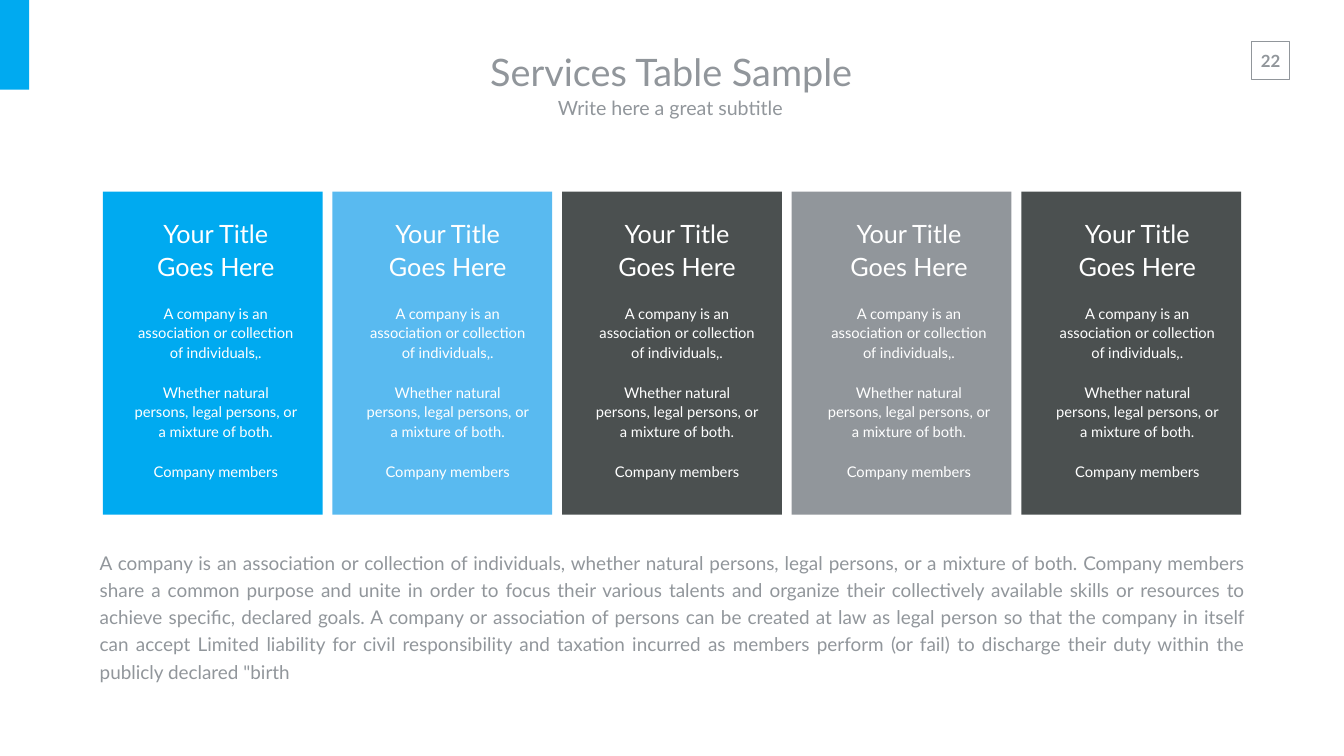
from pptx import Presentation
from pptx.dml.color import RGBColor
from pptx.enum.shapes import MSO_SHAPE
from pptx.enum.text import MSO_ANCHOR, MSO_AUTO_SIZE, PP_ALIGN
from pptx.util import Pt

PX = 9144  # 100 px to the inch
FONT = "Lato"
BLUE = RGBColor(0x00, 0xAA, 0xF0)
LIGHT_BLUE = RGBColor(0x59, 0xBA, 0xF0)
DARK = RGBColor(0x4B, 0x50, 0x50)
GRAY = RGBColor(0x91, 0x96, 0x9B)
WHITE = RGBColor(0xFF, 0xFF, 0xFF)
RECT = MSO_SHAPE.RECTANGLE
CENTER, JUSTIFY = PP_ALIGN.CENTER, PP_ALIGN.JUSTIFY
TOP, MIDDLE = MSO_ANCHOR.TOP, MSO_ANCHOR.MIDDLE
GROW = MSO_AUTO_SIZE.SHAPE_TO_FIT_TEXT

PAGE_NUMBER = "22"
TITLE = "Services Table Sample"
SUBTITLE = "Write here a great subtitle "
CARD_TEXT = [
    ("Your Title Goes Here", 36),
    ("A company is an association or collection of individuals,.", 21),
    ("Whether natural persons, legal persons, or a mixture of both.", 21),
    ("Company members", 21),
]
CARDS = [  # fill, left edge of the text
    (BLUE, 247),
    (LIGHT_BLUE, 707),
    (DARK, 1162),
    (GRAY, 1622),
    (DARK, 2075),
]
BODY = (
    "A company is an association or collection of individuals, whether natural "
    "persons, legal persons, or a mixture of both. Company members share a common "
    "purpose and unite in order to focus their various talents and organize their "
    "collectively available skills or resources to achieve specific, declared goals. "
    "A company or association of persons can be created at law as legal person so "
    "that the company in itself can accept Limited liability for civil responsibility "
    "and taxation incurred as members perform (or fail) to discharge their duty within "
    'the publicly declared "birth'
)
CARD_LEFT, CARD_TOP, CARD_W, CARD_H, CARD_PITCH = 204, 380, 436, 641, 455.5


def emu(*lengths):
    return [round(n * PX) for n in lengths]


def add_rect(slide, box, fill=None, line=None):
    s = slide.shapes.add_shape(RECT, *emu(*box))
    s.shadow.inherit = False
    if fill is None:
        s.fill.background()
    else:
        s.fill.solid()
        s.fill.fore_color.rgb = fill
    if line is None:
        s.line.fill.background()
    else:
        s.line.color.rgb = line
        s.line.width = Pt(1)


def add_text(slide, box, paragraphs, color, insets, align=CENTER, anchor=TOP,
             spacing=None, gap=0, bold=False, wrap=True, auto_size=GROW):
    """Add a text box; paragraphs are (text, size) pairs, gap is points between them."""
    tf = slide.shapes.add_textbox(*emu(*box)).text_frame
    tf.word_wrap = wrap
    tf.auto_size = auto_size
    tf.vertical_anchor = anchor
    tf.margin_left, tf.margin_top, tf.margin_right, tf.margin_bottom = emu(*insets)
    for i, (text, size) in enumerate(paragraphs):
        p = tf.add_paragraph() if i else tf.paragraphs[0]
        p.alignment = align
        p.line_spacing = spacing
        if i and gap:
            p.space_before = Pt(gap)
        r = p.add_run()
        r.text = text
        r.font.name = FONT
        r.font.size = Pt(size)
        r.font.bold = bold
        r.font.color.rgb = color


def main():
    prs = Presentation()
    prs.slide_width, prs.slide_height = emu(2666, 1500)
    slide = prs.slides.add_slide(prs.slide_layouts[6])

    add_text(slide, (2480, 90, 81, 61), [(PAGE_NUMBER, 24)], GRAY,
             (20, 10, 20, 10), bold=True, wrap=False)
    add_rect(slide, (2483, 82, 75, 75), line=GRAY)
    add_rect(slide, (0, 0, 58, 178), BLUE)

    heading_insets = (27, 13, 27, 13)
    add_text(slide, (815, 83, 1033, 118), [(TITLE, 54)], GRAY,
             heading_insets, anchor=MIDDLE)
    add_text(slide, (818, 176, 1033, 74), [(SUBTITLE, 28)], GRAY,
             heading_insets, anchor=MIDDLE)

    for i, (fill, text_left) in enumerate(CARDS):
        add_rect(slide, (CARD_LEFT + i * CARD_PITCH, CARD_TOP, CARD_W, CARD_H), fill)
        add_text(slide, (text_left, 410, 342, 561), CARD_TEXT, WHITE, (20, 0, 0, 0),
                 anchor=MIDDLE, spacing=1.1, gap=30, auto_size=MSO_AUTO_SIZE.NONE)

    add_text(slide, (188, 1080, 2290, 227), [(BODY, 27)], GRAY, (10, 5, 10, 5),
             align=JUSTIFY, spacing=1.2)

    prs.save("out.pptx")


if __name__ == "__main__":
    main()
